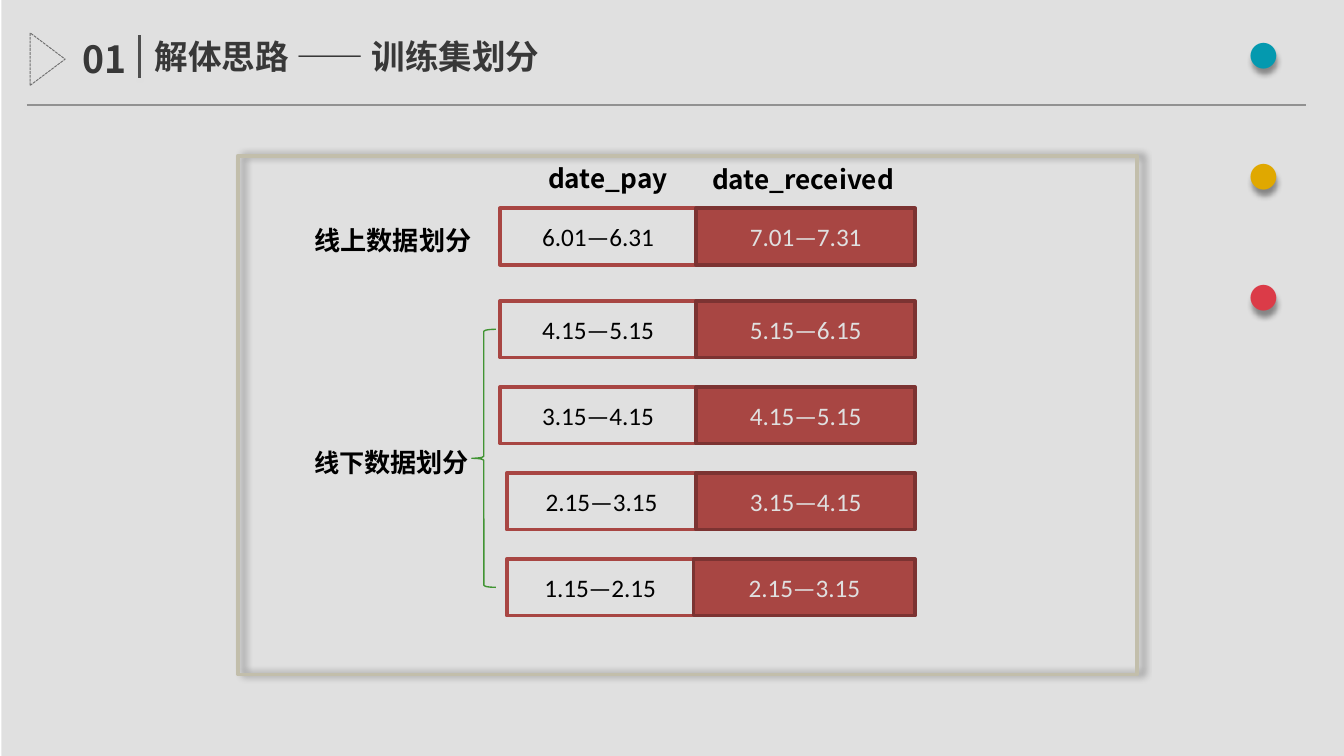
from lxml.etree import SubElement
from pptx import Presentation
from pptx.dml.color import RGBColor
from pptx.enum.dml import MSO_LINE
from pptx.enum.shapes import MSO_CONNECTOR, MSO_SHAPE
from pptx.enum.text import MSO_ANCHOR, PP_ALIGN
from pptx.oxml.ns import qn
from pptx.util import Inches, Pt

HEADING_FONT = "Noto Sans CJK SC"
BODY_FONT = "Calibri"
BLACK = RGBColor(0x00, 0x00, 0x00)
WHITE = RGBColor(0xFF, 0xFF, 0xFF)
DARK_GRAY = RGBColor(0x40, 0x40, 0x40)
DIVIDER_GRAY = RGBColor(0x59, 0x59, 0x59)
TRIANGLE_GRAY = RGBColor(0x80, 0x80, 0x80)
RULE_GRAY = RGBColor(0xA6, 0xA6, 0xA6)
FRAME_BEIGE = RGBColor(0xDD, 0xD9, 0xC3)
RED = RGBColor(0xC0, 0x50, 0x4D)
DARK_RED = RGBColor(0x8E, 0x3B, 0x39)
GREEN = RGBColor(0x4B, 0xA9, 0x3B)
DOT_COLORS = [RGBColor(0x05, 0xAF, 0xC8), RGBColor(0xFF, 0xC0, 0x00), RGBColor(0xFA, 0x44, 0x53)]

ROWS = [
    (0.39, 0, 1.46, "6.01—6.31", "7.01—7.31"),
    (1.08, 0, 1.46, "4.15—5.15", "5.15—6.15"),
    (1.72, 0, 1.46, "3.15—4.15", "4.15—5.15"),
    (2.36, 0.05, 1.46, "2.15—3.15", "3.15—4.15"),
    (3.00, 0.05, 1.44, "1.15—2.15", "2.15—3.15"),
]
LABELS = [
    (0.47, 0.46, 1.52, [("线上数据划分", HEADING_FONT, 14)]),
    (0.47, 2.11, 1.52, [("线下", BODY_FONT, 13.5), ("数据划分", HEADING_FONT, 14)]),
    (2.21, 0, 1.42, [("date_pay", HEADING_FONT, 14)]),
    (3.43, 0.01, 1.61, [("date_received", HEADING_FONT, 14)]),
]


def add_shadow(shape, color, opacity, blur, distance, direction):
    """Give a shape an outer shadow; blur and distance are in points."""
    properties = shape._element.spPr
    for old in properties.findall(qn("a:effectLst")):
        properties.remove(old)
    effects = SubElement(properties, qn("a:effectLst"))
    shadow = SubElement(effects, qn("a:outerShdw"), blurRad=str(Pt(blur)), dist=str(Pt(distance)),
                        dir=str(direction * 60000), algn="ctr", rotWithShape="0")
    tint = SubElement(shadow, qn("a:srgbClr"), val=str(color))
    SubElement(tint, qn("a:alpha"), val=str(opacity * 1000))


def style_run(run, font, size, color, bold=False):
    """Set the typeface, size, colour and weight of a run."""
    run.font.name = font
    run.font.size = Pt(size)
    run.font.color.rgb = color
    run.font.bold = bold
    SubElement(run._r.get_or_add_rPr(), qn("a:ea"), typeface=HEADING_FONT)


def fill_heading(box, spans, color, align=PP_ALIGN.LEFT):
    """Write bold spans of (text, font, size) at the top of a box."""
    frame = box.text_frame
    frame.word_wrap = True
    frame.vertical_anchor = MSO_ANCHOR.TOP
    para = frame.paragraphs[0]
    para.alignment = align
    for text, font, size in spans:
        span = para.add_run()
        span.text = text
        style_run(span, font, size, color, True)


def add_outline(page, kind, left, top, width, height, fill, line, weight):
    """Add a preset shape with the given fill and line, either of which may be None."""
    shape = page.shapes.add_shape(kind, Inches(left), Inches(top), Inches(width), Inches(height))
    shape.shadow.inherit = False
    if fill is None:
        shape.fill.background()
    else:
        shape.fill.solid()
        shape.fill.fore_color.rgb = fill
    if line is None:
        shape.line.fill.background()
    else:
        shape.line.color.rgb = line
        shape.line.width = Pt(weight)
    return shape


def add_rule(page, start_x, start_y, end_x, end_y, color, weight):
    """Add a straight line with a fine white shadow."""
    rule = page.shapes.add_connector(MSO_CONNECTOR.STRAIGHT, Inches(start_x), Inches(start_y),
                                     Inches(end_x), Inches(end_y))
    rule.line.color.rgb = color
    rule.line.width = Pt(weight)
    add_shadow(rule, WHITE, 100, 1, 1, 90)


def add_header(page, left, top, width):
    """Place the number, title, triangle and rules of the header."""
    title = page.shapes.title
    title.left, title.top = Inches(left + 0.89), Inches(top)
    title.width, title.height = Inches(3.31), Inches(0.4)
    fill_heading(title, [("解体思路 —— 训练集划分", HEADING_FONT, 18)], DARK_GRAY)
    number = page.shapes.add_textbox(Inches(left + 0.02), Inches(top), Inches(0.86), Inches(0.44))
    fill_heading(number, [("01", HEADING_FONT, 20)], DARK_GRAY, PP_ALIGN.RIGHT)
    triangle = add_outline(page, MSO_SHAPE.FLOWCHART_MERGE, left, top + 0.09, 0.39, 0.26,
                           None, TRIANGLE_GRAY, 0.5)
    triangle.rotation = 270
    triangle.line.dash_style = MSO_LINE.SQUARE_DOT
    add_rule(page, left + 0.88, top + 0.36, left + 0.88, top + 0.04, DIVIDER_GRAY, 1.5)
    add_rule(page, left + 0.04, top + 0.56, left + width, top + 0.56, RULE_GRAY, 0.75)


def add_dots(page, left, top, width, height):
    """Place the coloured dots, which wrap one to a line."""
    box = page.shapes.add_textbox(Inches(left), Inches(top), Inches(width), Inches(height))
    box.text_frame.word_wrap = True
    para = box.text_frame.paragraphs[0]
    para.alignment = PP_ALIGN.RIGHT
    para.line_spacing = Pt(65)
    for text, color in zip(["· ", "· ", "·"], DOT_COLORS):
        span = para.add_run()
        span.text = text
        style_run(span, HEADING_FONT, 54, color, True)
    add_shadow(box, BLACK, 40, 3, 3, 90)


def add_period(page, left, top, width, text, fill, line, color):
    """Place one date range cell."""
    cell = add_outline(page, MSO_SHAPE.RECTANGLE, left, top, width, 0.42, fill, line, 2)
    cell.text_frame.text = text
    cell.text_frame.vertical_anchor = MSO_ANCHOR.MIDDLE
    para = cell.text_frame.paragraphs[0]
    para.alignment = PP_ALIGN.CENTER
    style_run(para.runs[0], BODY_FONT, 13.5, color)


def add_split_diagram(page, left, top, width, height):
    """Place the framed diagram of date ranges."""
    frame = add_outline(page, MSO_SHAPE.RECTANGLE, left, top, width, height, None, FRAME_BEIGE, 2)
    add_shadow(frame, BLACK, 40, 4, 3, 0)
    for offset, indent, split, paid, received in ROWS:
        add_period(page, left + 1.95 + indent, top + offset, split - indent, paid, WHITE, RED, BLACK)
        add_period(page, left + 1.95 + split, top + offset, 3.09 - split, received, RED, DARK_RED, WHITE)
    for x, y, label_width, spans in LABELS:
        label = page.shapes.add_textbox(Inches(left + x), Inches(top + y), Inches(label_width), Inches(0.34))
        fill_heading(label, spans, BLACK)
    add_outline(page, MSO_SHAPE.LEFT_BRACE, left + 1.74, top + 1.29, 0.18, 1.92, None, GREEN, 0.75)


def add_shade(page, left, top, width, height):
    """Cover the page with a transparent black veil."""
    shade = add_outline(page, MSO_SHAPE.RECTANGLE, left, top, width, height, BLACK, None, 0)
    tint = shade._element.spPr.find(qn("a:solidFill")).find(qn("a:srgbClr"))
    SubElement(tint, qn("a:alpha"), val="12000")


def main():
    """Build and save the deck."""
    deck = Presentation()
    deck.slide_width = Inches(10)
    deck.slide_height = deck.slide_width * 9 // 16
    page = deck.slides.add_slide(deck.slide_layouts[5])
    add_header(page, 0.16, 0.22, 9.56)
    add_dots(page, 8.23, -0.1, 1.65, 1.01)
    add_split_diagram(page, 1.77, 1.16, 6.69, 3.86)
    add_shade(page, 0.01, -0.04, 10, 5.77)
    deck.save("out.pptx")


if __name__ == "__main__":
    main()
